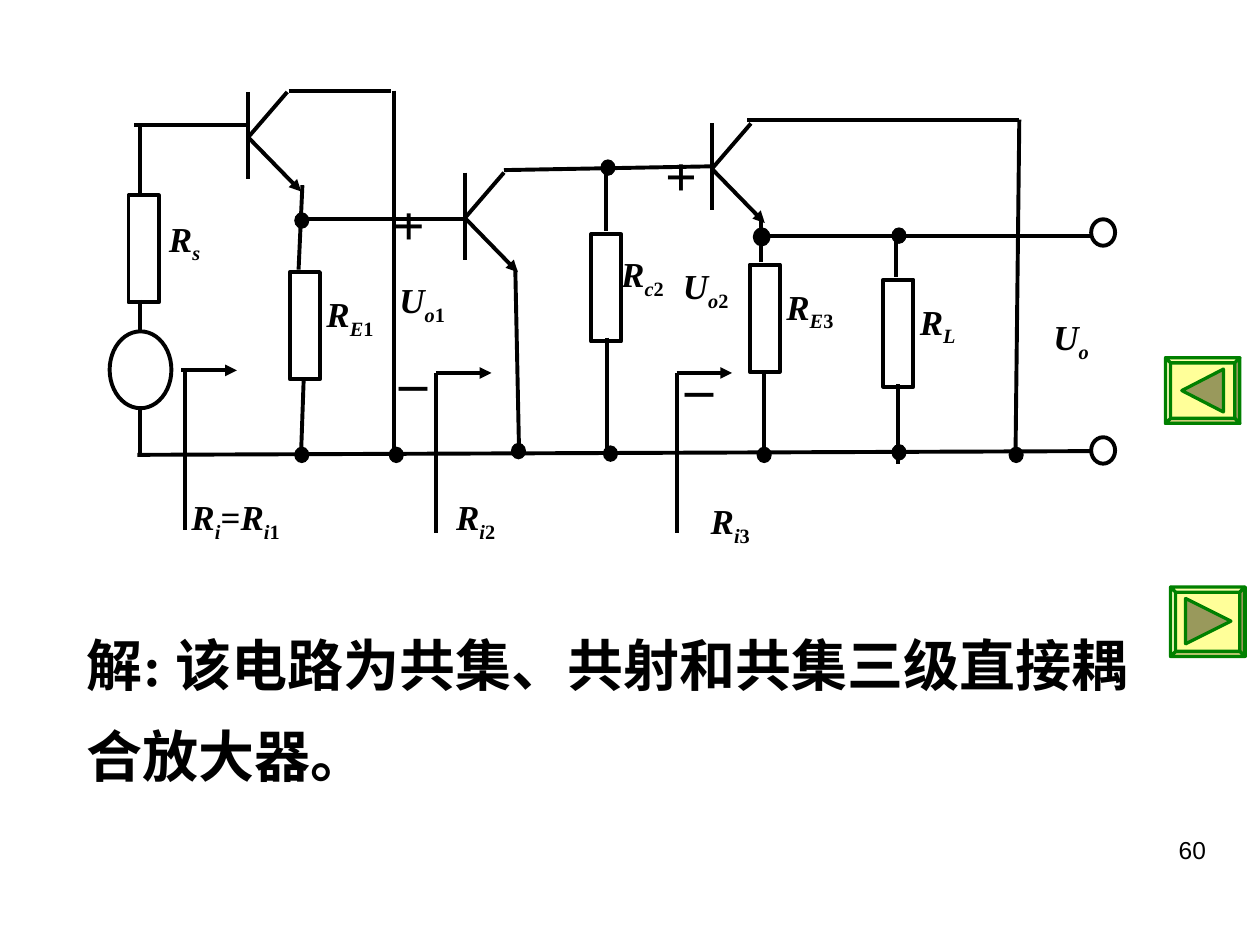
from dataclasses import dataclass

from lxml.etree import SubElement
from pptx import Presentation
from pptx.dml.color import RGBColor
from pptx.enum.shapes import MSO_CONNECTOR as Link, MSO_SHAPE as Shape
from pptx.enum.text import MSO_AUTO_SIZE as Fit, PP_ALIGN as Align
from pptx.oxml.ns import qn
from pptx.util import Inches, Pt

BLACK, WHITE, GREEN = "000000", "FFFFFF", "008000"
SERIF = "Times New Roman"
THICK = 2.25

prs = Presentation()
prs.slide_width, prs.slide_height = Inches(10), Inches(7.5)
slide = prs.slides.add_slide(prs.slide_layouts[6])
shapes = slide.shapes


@dataclass
class Span:
    text: str
    italic: bool = False
    sub: bool = False


@dataclass
class Label:
    x: float
    y: float
    spans: list[Span]
    width: float = 0.82


def color(code: str) -> RGBColor:
    return RGBColor.from_string(code)


def paint(shape, fill: str, line: str, width: float) -> None:
    shape.shadow.inherit = False
    shape.fill.solid()
    shape.fill.fore_color.rgb = color(fill)
    shape.line.color.rgb = color(line)
    shape.line.width = Pt(width)


def wire(x1: float, y1: float, x2: float, y2: float, arrow: bool = False) -> None:
    line = shapes.add_connector(Link.STRAIGHT, *map(Inches, (x1, y1, x2, y2)))
    line.line.color.rgb = color(BLACK)
    line.line.width = Pt(THICK)
    props = line._element.spPr
    if arrow:
        SubElement(props.find(qn("a:ln")), qn("a:tailEnd"), type="triangle")
    SubElement(props, qn("a:effectLst"))


def block(kind, x: float, y: float, w: float, h: float,
          fill: str = WHITE, width: float = THICK) -> None:
    shape = shapes.add_shape(kind, *map(Inches, (x, y, w, h)))
    paint(shape, fill, BLACK, width)


def poly(points: list[tuple[float, float]], fill: str) -> None:
    start, *rest = [(Inches(x), Inches(y)) for x, y in points]
    form = shapes.build_freeform(*start)
    form.add_line_segments(rest, close=True)
    paint(form.convert_to_shape(), fill, GREEN, 1.87)


def write(text: str | list[Span], x: float, y: float, w: float, h: float, *,
          size: float = 20, font: str = SERIF, bold: bool = True,
          align=Align.LEFT, space: float = 1.35, inset: bool = True,
          wrap: bool = True, grow: bool = False) -> None:
    box = shapes.add_textbox(*map(Inches, (x, y, w, h)))
    frame = box.text_frame
    frame.word_wrap = wrap
    frame.auto_size = Fit.SHAPE_TO_FIT_TEXT if grow else Fit.NONE
    side, edge = (0.1, 0.05) if inset else (0, 0)
    frame.margin_left = frame.margin_right = Inches(side)
    frame.margin_top = frame.margin_bottom = Inches(edge)
    para = frame.paragraphs[0]
    para.alignment, para.line_spacing = align, space
    for span in [Span(text)] if isinstance(text, str) else text:
        run = para.add_run()
        run.text = span.text
        face = run.font
        face.name, face.size, face.bold = font, Pt(size), bold
        face.italic = span.italic
        face.color.rgb = color(BLACK)
        if span.sub:
            run._r.get_or_add_rPr().set("baseline", "-25000")


def sign(text: str, x: float, y: float, w: float, wrap: bool = False) -> None:
    write(text, x, y, w, 0.82, size=32, wrap=wrap, grow=True)


def sym(base: str, sub: str, num: str = "") -> list[Span]:
    spans = [Span(base, True), Span(sub, True, True)]
    return spans + [Span(num, False, True)] if num else spans


def npn(x: float, y: float) -> None:
    """Transistor with its base at x, y."""
    wire(x, y - 0.36, x, y + 0.33)
    wire(x + 0.31, y - 0.36, x, y)
    wire(x, y, x + 0.42, y + 0.43, arrow=True)


def button(x: float, y: float, h: float, mark: list[tuple[float, float]]) -> None:
    """Bevelled button with a triangle."""
    r, b, d = x + 0.59, y + h, 0.04
    outer = [(x, y), (r, y), (r, b), (x, b)]
    inner = [(x + d, y + d), (r - d, y + d), (r - d, b - d), (x + d, b - d)]
    poly(outer, "FFFF99")
    for i, tint in enumerate(("FFFFAD", "99995C", "CDCD7A", "FFFFC2")):
        j = (i + 1) % 4
        poly([outer[i], outer[j], inner[j], inner[i]], tint)
    poly(mark, "99995C")


# Page number and answer
write("60", 7.17, 6.58, 2.5, 0.52, size=14, font="Arial", bold=False,
      align=Align.RIGHT, space=1)
write("解: 该电路为共集、共射和共集三级直接耦合放大器。",
      0.59, 4.77, 8.88, 1.54, size=32, grow=True)

# Resistors
for x, y in ((1.02, 1.55), (2.3, 2.16), (4.69, 1.86), (5.95, 2.1), (7.01, 2.22)):
    block(Shape.RECTANGLE, x, y, 0.24, 0.85)

# Transistors
for x, y in ((1.97, 1.09), (3.69, 1.73), (5.65, 1.34)):
    npn(x, y)

# Wires
WIRES = (
    (1.09, 3.61, 8.76, 3.58),  # ground rail
    (1.96, 0.99, 1.06, 0.99), (1.11, 0.99, 1.11, 1.54), (1.11, 2.38, 1.11, 3.61),
    (2.29, 0.72, 3.1, 0.72), (3.13, 0.72, 3.13, 3.62),  # first stage
    (2.4, 1.47, 2.37, 2.14), (2.41, 3.02, 2.39, 3.59), (2.37, 1.74, 3.68, 1.74),
    (4, 1.35, 5.67, 1.32), (4.09, 2.14, 4.12, 3.59),  # second stage
    (4.81, 1.32, 4.81, 1.83), (4.82, 2.68, 4.82, 3.62),
    (5.93, 0.95, 8.09, 0.95), (8.09, 0.95, 8.06, 3.59),  # third stage
    (6.04, 1.74, 6.04, 2.08), (6.06, 2.96, 6.06, 3.67),
    (6.02, 1.87, 8.68, 1.87), (7.11, 1.87, 7.11, 2.2), (7.13, 3.05, 7.13, 3.68),
)
for ends in WIRES:
    wire(*ends)

# Input resistance markers
for x, y, start in ((1.47, 2.94, 1.44), (3.46, 2.96, 3.46), (5.37, 2.96, 5.37)):
    wire(x, y, x, y + 1.27)
    wire(start, y, start + 0.44, y, arrow=True)

# Source, terminals and nodes
block(Shape.OVAL, 0.87, 2.63, 0.49, 0.61)
for y in (1.74, 3.47):
    block(Shape.OVAL, 8.66, y, 0.19, 0.21)
NODES = ((2.34, 1.69), (2.34, 3.55), (3.09, 3.55), (4.06, 3.52), (4.77, 1.27),
         (4.79, 3.54), (6.01, 3.55), (7.08, 1.81), (7.08, 3.53), (8.01, 3.55))
for x, y in NODES:
    block(Shape.OVAL, x, y, 0.11, 0.12, BLACK, 0.75)
block(Shape.OVAL, 5.99, 1.82, 0.11, 0.12, BLACK)

# Labels
LABELS = (
    Label(1.34, 1.59, sym("R", "s")),
    Label(2.59, 2.19, sym("R", "E", "1")),
    Label(4.93, 1.87, sym("R", "c", "2")),
    Label(6.24, 2.13, sym("R", "E", "3")),
    Label(7.3, 2.25, sym("R", "L")),
    Label(1.52, 3.8, sym("R", "i") + [Span("=")] + sym("R", "i", "1"), 1.17),
    Label(3.62, 3.8, sym("R", "i", "2"), 0.74),
    Label(5.64, 3.83, sym("R", "i", "3"), 0.74),
    Label(3.17, 2.08, sym("U", "o", "1"), 0.74),
    Label(5.42, 1.97, sym("U", "o", "2"), 0.74),
    Label(8.36, 2.37, sym("U", "o"), 0.74),
)
for tag in LABELS:
    write(tag.spans, tag.x, tag.y, tag.width, 0.8, align=Align.JUSTIFY, inset=False)

# Polarity signs
sign("+", 3.02, 1.27, 0.45)
sign("_", 3.07, 2.36, 0.42)
sign("+", 5.18, 0.88, 0.45)
sign("_", 5.34, 2.41, 0.53, wrap=True)

# Back and next buttons
button(9.25, 2.84, 0.52, [(9.38, 3.1), (9.71, 2.93), (9.71, 3.27)])
button(9.29, 4.66, 0.55, [(9.41, 4.75), (9.77, 4.93), (9.41, 5.11)])

prs.save("out.pptx")
